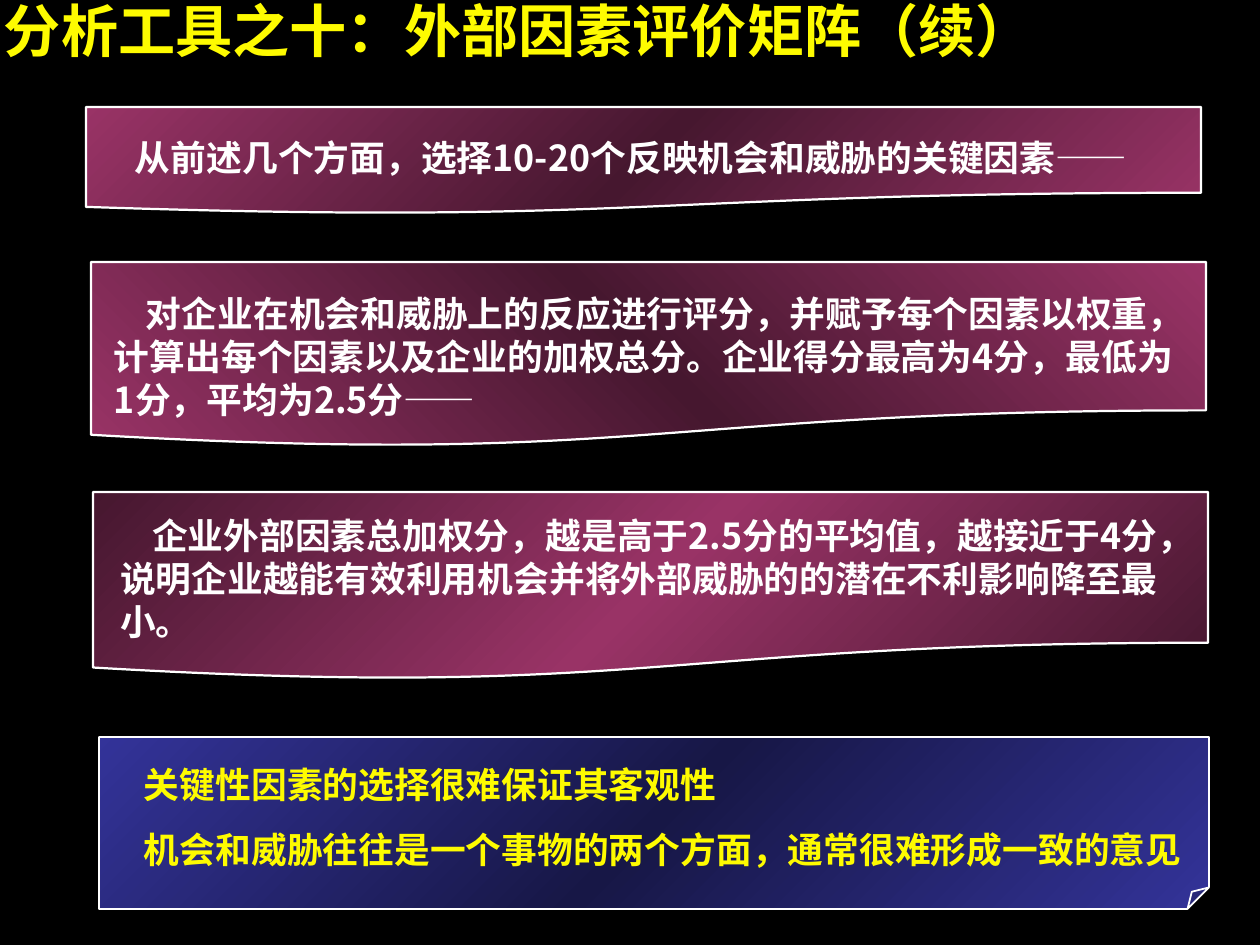
from copy import deepcopy

from lxml.etree import SubElement
from pptx import Presentation
from pptx.dml.color import RGBColor
from pptx.enum.shapes import MSO_SHAPE
from pptx.oxml import parse_xml
from pptx.oxml.ns import nsdecls, qn
from pptx.util import Pt

PX = 7112
FONT = "Noto Sans CJK SC"
BLACK = RGBColor(0x00, 0x00, 0x00)
WHITE = RGBColor(0xFF, 0xFF, 0xFF)
YELLOW = RGBColor(0xFE, 0xFB, 0x00)
PLUM = RGBColor(0x99, 0x33, 0x66)
DARK_PLUM = RGBColor(0x46, 0x17, 0x2F)
BLUE = RGBColor(0x33, 0x33, 0x99)
DARK_BLUE = RGBColor(0x17, 0x17, 0x46)

TITLE = "分析工具之十：外部因素评价矩阵（续）"
STEPS = [
    dict(box=(86, 107, 1115, 107), text=(103, 136, 1122, 43), angle=225,
         colors=(PLUM, DARK_PLUM),
         runs=[("从前述几个方面，选择10-20个反映机会和威胁的关键因素", True),
               ("——", False)]),
    dict(box=(91, 262, 1115, 185), text=(114, 292, 1061, 129), angle=135,
         colors=(PLUM, DARK_PLUM),
         runs=[("对企业在机会和威胁上的反应进行评分，并赋予每个因素以权重，"
                "计算出每个因素以及企业的加权总分。企业得分最高为4分，"
                "最低为1分，平均为2.5分", True),
               ("——", False)]),
    dict(box=(93, 492, 1115, 188), text=(120, 514, 1060, 129), angle=225,
         colors=(DARK_PLUM, PLUM),
         runs=[("企业外部因素总加权分，越是高于2.5分的平均值，越接近于4分，"
                "说明企业越能有效利用机会并将外部威胁的的潜在不利影响降至最小。",
                True)]),
]
REMARKS = ["关键性因素的选择很难保证其客观性",
           "机会和威胁往往是一个事物的两个方面，通常很难形成一致的意见"]


def scaled(box):
    """Turn a px box into EMU lengths."""
    return [v * PX for v in box]


def add_panel(slide, kind, box, colors, angle, width):
    """Draw an outlined panel whose gradient mirrors about its middle."""
    sp = slide.shapes.add_shape(kind, *scaled(box))
    sp.shadow.inherit = False
    sp.fill.gradient()
    stops = sp._element.spPr.find(".//" + qn("a:gsLst"))
    stops.append(deepcopy(stops[0]))
    edge, middle = colors
    for stop, pos, color in zip(sp.fill.gradient_stops, (0, 0.5, 1),
                                (edge, middle, edge)):
        stop.position = pos
        stop.color.rgb = color
    sp.fill.gradient_angle = 360 - angle
    sp.line.color.rgb = WHITE
    sp.line.width = Pt(width)
    return sp


def add_run(p, text, color, size, bold, shadow):
    """Add a formatted run, with a small drop shadow if asked."""
    r = p.add_run()
    r.text = text
    for name, value in dict(name=FONT, size=Pt(size), bold=bold).items():
        setattr(r.font, name, value)
    r.font.color.rgb = color
    rPr = r._r.get_or_add_rPr()
    ea = SubElement(rPr, qn("a:ea"), typeface=FONT)
    rPr.find(qn("a:latin")).addnext(ea)
    if shadow:
        rPr.find(qn("a:solidFill")).addnext(parse_xml(
            f'<a:effectLst {nsdecls("a")}><a:outerShdw dist="25400" dir="2700000">'
            '<a:srgbClr val="000000"/></a:outerShdw></a:effectLst>'))


def add_text(slide, box, paragraphs, color, size=20, leading=24, after=0,
             indent=0, wrap=True, shadow=True):
    """Place paragraphs of (text, bold) runs in a box without margins."""
    tf = slide.shapes.add_textbox(*scaled(box)).text_frame
    frame = dict(margin_left=0, margin_top=0, margin_right=0, margin_bottom=0,
                 word_wrap=wrap)
    for name, value in frame.items():
        setattr(tf, name, value)
    for i, runs in enumerate(paragraphs):
        p = tf.add_paragraph() if i else tf.paragraphs[0]
        p.line_spacing = Pt(leading)
        p.space_after = Pt(after)
        if indent:
            p._p.get_or_add_pPr().set("indent", str(indent * PX))
        for text, bold in runs:
            add_run(p, text, color, size, bold, shadow)


def add_step(slide, step):
    """Draw one wavy step panel with its text."""
    add_panel(slide, MSO_SHAPE.FLOWCHART_DOCUMENT, step["box"],
              step["colors"], step["angle"], 1.25)
    add_text(slide, step["text"], [step["runs"]], WHITE, indent=32)


def add_remarks(slide, box):
    """Draw the folded note with its remarks."""
    x, y, w, h = box
    sp = add_panel(slide, MSO_SHAPE.FOLDED_CORNER, box,
                   (BLUE, DARK_BLUE), 225, 1)
    guides = sp._element.spPr.find(".//" + qn("a:avLst"))
    SubElement(guides, qn("a:gd"), name="adj", fmla="val 12500")
    add_text(slide, (x + 45, y + 26, w - 46, h - 64),
             [[(text, True)] for text in REMARKS], YELLOW, after=12.5)


def main():
    """Build and save the slide."""
    prs = Presentation()
    prs.slide_width, prs.slide_height = 1260 * PX, 945 * PX
    slide = prs.slides.add_slide(prs.slide_layouts[6])
    slide.background.fill.solid()
    slide.background.fill.fore_color.rgb = BLACK
    add_text(slide, (4, -4, 1030, 68), [[(TITLE, True)]], YELLOW,
             size=32, leading=38, wrap=False, shadow=False)
    for step in STEPS:
        add_step(slide, step)
    add_remarks(slide, (99, 737, 1110, 172))
    prs.save("out.pptx")


if __name__ == "__main__":
    main()
